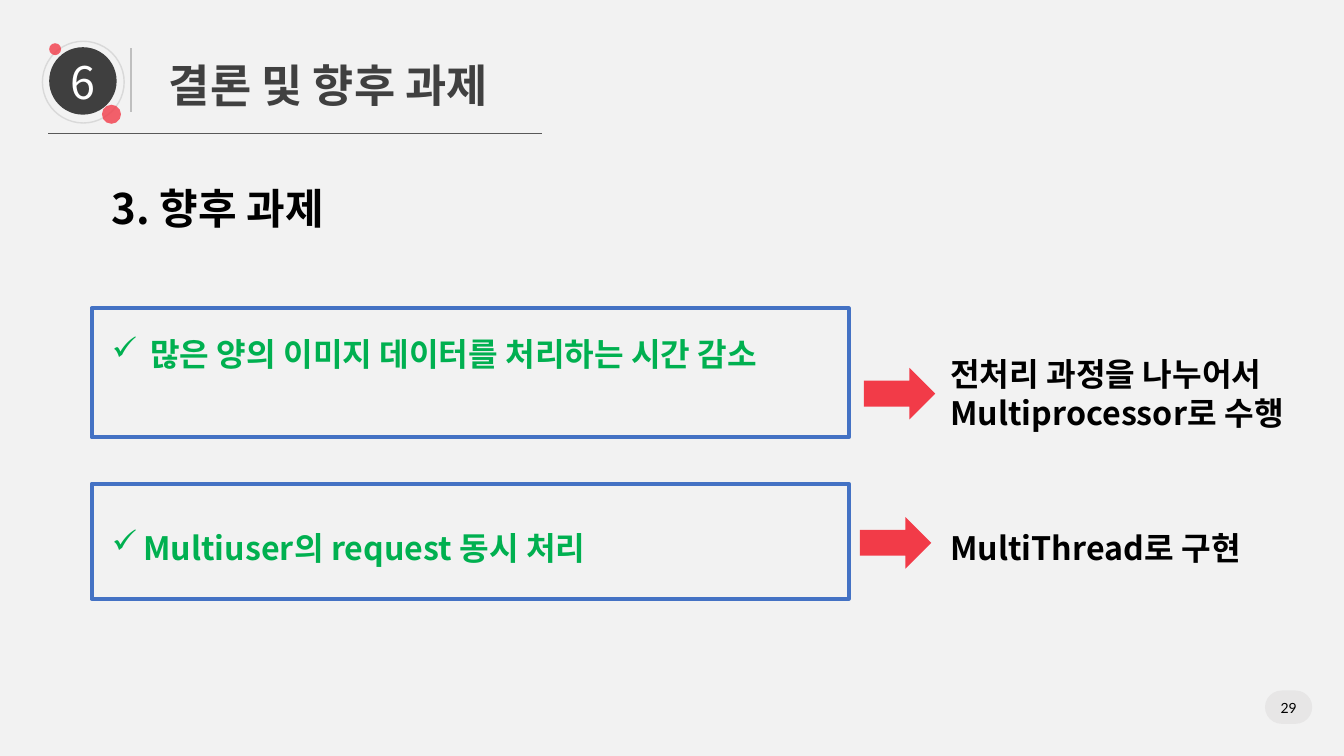
from dataclasses import dataclass

from lxml import etree
from pptx import Presentation
from pptx.dml.color import RGBColor
from pptx.enum.shapes import MSO_CONNECTOR, MSO_SHAPE
from pptx.enum.text import MSO_ANCHOR, PP_ALIGN
from pptx.oxml.ns import qn
from pptx.util import Cm, Pt

OVAL, RECT = MSO_SHAPE.OVAL, MSO_SHAPE.RECTANGLE
PILL, ARROW = MSO_SHAPE.ROUNDED_RECTANGLE, MSO_SHAPE.RIGHT_ARROW
LEFT, CENTER = PP_ALIGN.LEFT, PP_ALIGN.CENTER
MIDDLE, STRAIGHT = MSO_ANCHOR.MIDDLE, MSO_CONNECTOR.STRAIGHT


@dataclass(frozen=True)
class Theme:
    back: str = "F2F2F2"
    pill: str = "E7E6E6"
    dark: str = "3F3F3F"
    title: str = "404040"
    ring: str = "D9D9D9"
    rule: str = "BFBFBF"
    under: str = "595959"
    red: str = "F23B48"
    blue: str = "4472C4"
    green: str = "00B050"
    black: str = "000000"
    white: str = "FFFFFF"
    korean: str = "Noto Sans CJK KR"
    plain: str = "Noto Sans CJK SC"
    latin: str = "Lato"
    large: int = 32
    head: int = 30
    body: int = 23
    small: int = 10
    lead: float = 1.22


theme = Theme()
rgb = RGBColor.from_string


def add_form(home, kind, box, fill=None, line=None, width=1):
    form = home.shapes.add_shape(kind, *map(Cm, box))
    form.shadow.inherit = False
    if fill:
        form.fill.solid()
        form.fill.fore_color.rgb = rgb(fill)
    else:
        form.fill.background()
    if line:
        form.line.color.rgb = rgb(line)
        form.line.width = Pt(width)
    else:
        form.line.fill.background()
    return form


def style(para, size, face, color, bold=True, align=LEFT, hang=None):
    para.alignment = align
    para.line_spacing = Pt(round(size * theme.lead, 1))
    for run in para.runs:
        font = run.font
        font.size, font.name, font.bold = Pt(size), face, bold
        font.color.rgb = rgb(color)
        etree.SubElement(font._element, qn("a:ea"), typeface=face)
    if hang:
        props = para._p.get_or_add_pPr()
        props.set("marL", str(Cm(hang)))
        props.set("indent", str(-Cm(hang)))
        etree.SubElement(props, qn("a:buChar"), char="✓")


deck = Presentation()
deck.slide_width, deck.slide_height = Cm(33.87), Cm(19.05)
slide = deck.slides.add_slide(deck.slide_layouts[6])
slide.background.fill.solid()
slide.background.fill.fore_color.rgb = rgb(theme.back)

# Page number pill
pill = add_form(slide, PILL, (31.88, 17.4, 1.19, 0.84), theme.pill)
pill.adjustments[0] = 0.5

# Number badge with its ring and dots
badge = slide.shapes.add_group_shape()
disc = add_form(badge, OVAL, (1.24, 1.19, 1.7, 1.7), theme.dark)
disc.text_frame.text = "6"
disc.text_frame.vertical_anchor = MIDDLE
style(disc.text_frame.paragraphs[0], theme.large, theme.plain, theme.white,
      False, CENTER)
add_form(badge, OVAL, (1.07, 1.04, 2.06, 2.06), line=theme.ring)
for left, top, size in ((2.57, 2.64, 0.48), (1.24, 1.09, 0.3)):
    dot = add_form(badge, OVAL, (left, top, size, size), theme.red)
    tint = dot.fill._xPr.find(".//" + qn("a:srgbClr"))
    etree.SubElement(tint, qn("a:alpha"), val="80000")

# Header rules
for ends, color, width in (
    ((3.3, 1.22, 3.3, 2.82), theme.rule, 1),
    ((1.22, 3.35, 13.67, 3.35), theme.under, 0.5),
):
    rule = slide.shapes.add_connector(STRAIGHT, *map(Cm, ends))
    rule.line.color.rgb = rgb(color)
    rule.line.width = Pt(width)
    etree.SubElement(rule._element.spPr, qn("a:effectLst"))

# Task frames and arrows
for top, height in ((7.77, 3.25), (12.19, 2.9)):
    add_form(slide, RECT, (2.31, top, 19.08, height), line=theme.blue, width=3)
for left, top in ((21.77, 9.27), (21.67, 13.03)):
    add_form(slide, ARROW, (left, top, 1.8, 1.3), theme.red)

# Texts: box, then each paragraph with its style
head = (theme.head, theme.plain, theme.black)
note = (theme.body, theme.plain, theme.black)
task = (theme.body, theme.korean, theme.green, True, LEFT)
texts = (
    ((0.56, 1.3, 15.44, 1.63),
     [("결론 및 향후 과제",
       (theme.large, theme.korean, theme.title, True, CENTER))]),
    ((31.88, 17.63, 1.19, 1.09),
     [("29", (theme.small, theme.latin, theme.black, False, CENTER))]),
    ((2.57, 4.45, 19.58, 5.94),
     [("3. 향후 과제", head),
      ("많은 양의 이미지 데이터를 처리하는 시간 감소", (*task, 0.97))]),
    ((23.7, 8.79, 9.98, 2.24),
     [("전처리 과정을 나누어서 Multiprocessor로 수행", note)]),
    ((23.7, 13.16, 9.98, 1.24), [("MultiThread로 구현", note)]),
    ((2.57, 13.16, 16.05, 1.24),
     [("Multiuser의 request 동시 처리", (*task, 0.79))]),
)
for box, lines in texts:
    frame = slide.shapes.add_textbox(*map(Cm, box)).text_frame
    frame.word_wrap = True
    frame.text = "\n".join(words for words, look in lines)
    for para, (words, look) in zip(frame.paragraphs, lines):
        style(para, *look)
    for para in frame.paragraphs[1:]:
        para.space_before = Pt(72)
    if look[0] == theme.small:
        frame.margin_left = frame.margin_right = 0
        frame.margin_top = frame.margin_bottom = 0

deck.save("out.pptx")
